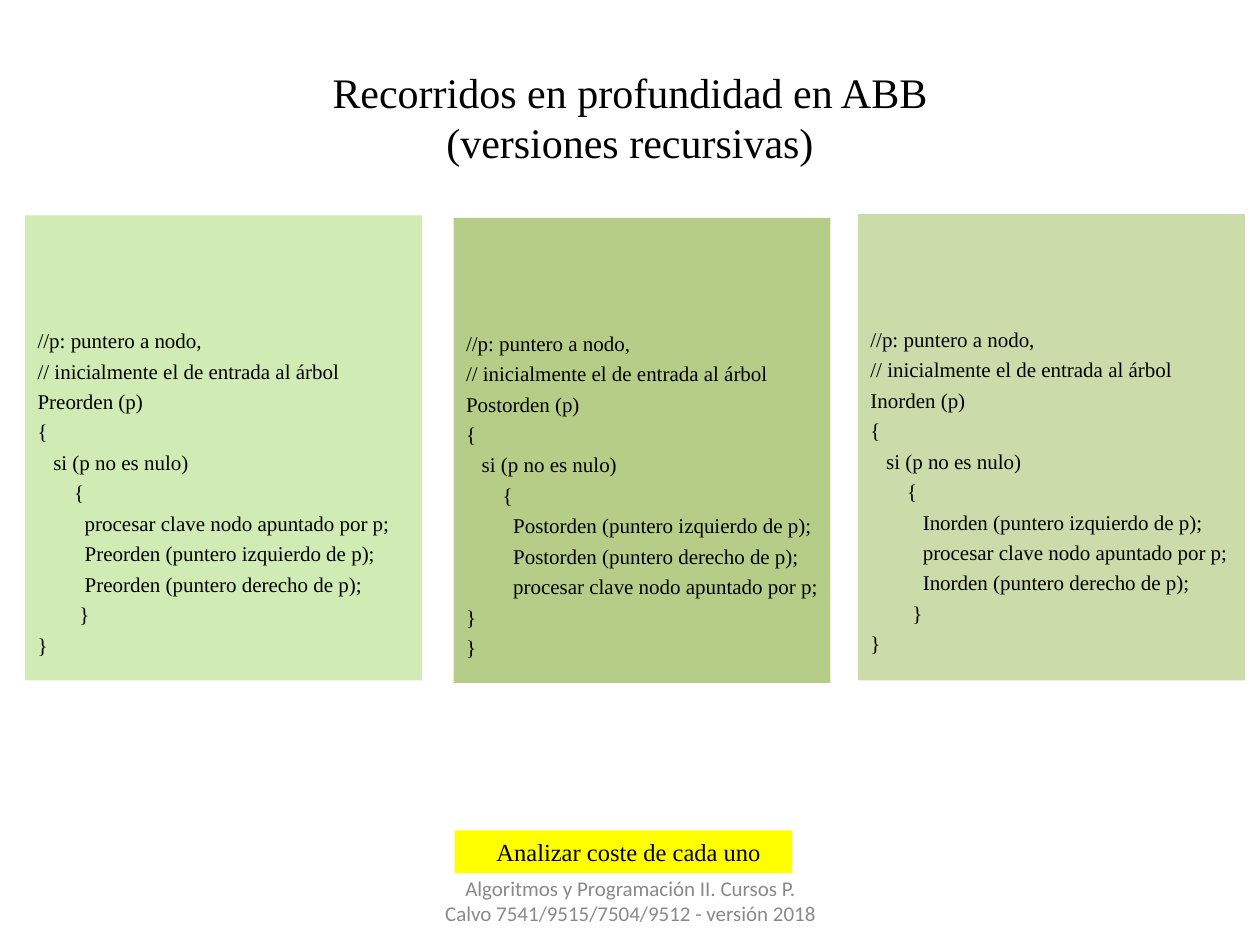
from lxml import etree
from pptx import Presentation
from pptx.dml.color import RGBColor
from pptx.enum.shapes import MSO_SHAPE
from pptx.enum.text import MSO_ANCHOR, PP_ALIGN
from pptx.oxml.ns import qn
from pptx.util import Inches, Pt

RECTANGLE = MSO_SHAPE.RECTANGLE
TOP, MIDDLE = MSO_ANCHOR.TOP, MSO_ANCHOR.MIDDLE
LEFT, CENTER = PP_ALIGN.LEFT, PP_ALIGN.CENTER

THEME = {
    "serif": "Times New Roman",
    "sans": "Calibri",
    "ink": "000000",
    "muted": "898989",
    "preorder": "D0EBB3",
    "postorder": "9BBB59",
    "inorder": "C3D69B",
    "highlight": "FFFF00",
    "title_size": 24,
    "note_size": 14,
    "body_size": 12,
}


def add_panel(box, color, opacity=100):
    shape = slide.shapes.add_shape(RECTANGLE, *[Inches(value) for value in box])
    shape.shadow.inherit = False
    shape.line.fill.background()
    shape.fill.solid()
    shape.fill.fore_color.rgb = RGBColor.from_string(THEME[color])
    if opacity < 100:
        color_element = shape._element.spPr.find(".//" + qn("a:srgbClr"))
        etree.SubElement(color_element, qn("a:alpha"), val=str(opacity * 1000))
    return shape


def write_text(shape, text, size, anchor, alignment, font="serif", color="ink"):
    frame = shape.text_frame
    frame.text = text
    frame.word_wrap = True
    frame.vertical_anchor = anchor
    for paragraph in frame.paragraphs:
        paragraph.alignment = alignment
        for run in paragraph.runs:
            run.font.name = THEME[font]
            run.font.size = Pt(THEME[size])
            run.font.color.rgb = RGBColor.from_string(THEME[color])
    return frame


presentation = Presentation()
presentation.slide_width = Inches(10)
presentation.slide_height = Inches(7.5)
slide = presentation.slides.add_slide(presentation.slide_layouts[6])

title = slide.shapes.add_textbox(Inches(0.5), Inches(0.3), Inches(9), Inches(1.25))
write_text(title, "Recorridos en profundidad en ABB\v(versiones recursivas)", "title_size", MIDDLE, CENTER)

process = "procesar clave nodo apuntado por p;"
go_left = "{name} (puntero izquierdo de p);"
go_right = "{name} (puntero derecho de p);"
traversals = [
    ("Preorden", (0.2, 1.71, 3.15, 3.69), "preorder", 100, 9, [process, go_left, go_right], "        }"),
    ("Postorden", (3.6, 1.73, 2.99, 3.69), "postorder", 72, 9, [go_left, go_right, process], "}"),
    ("Inorden", (6.81, 1.7, 3.07, 3.7), "inorder", 86, 10, [go_left, process, go_right], "        }"),
]
for name, box, color, opacity, indent, steps, closing in traversals:
    lines = [
        "//p: puntero a nodo,",
        "// inicialmente el de entrada al árbol",
        f"{name} (p)",
        "{",
        "   si (p no es nulo)",
        "       {",
        *[" " * indent + step.format(name=name) for step in steps],
        closing,
        "}",
    ]
    panel = add_panel(box, color, opacity)
    frame = write_text(panel, "\n".join(lines), "body_size", TOP, LEFT)
    frame.margin_top = Inches(0.89)
    frame.margin_right = Inches(0.02)
    for paragraph in frame.paragraphs[1:]:
        paragraph.space_before = Pt(3)

note = add_panel((3.61, 6.59, 2.68, 0.34), "highlight")
frame = write_text(note, "Analizar coste de cada uno", "note_size", TOP, LEFT)
frame.margin_left = Inches(0.33)

footer = slide.shapes.add_textbox(Inches(3.42), Inches(6.95), Inches(3.17), Inches(0.4))
footer_text = "Algoritmos y Programación II. Cursos P. Calvo 7541/9515/7504/9512 - versión 2018"
write_text(footer, footer_text, "body_size", MIDDLE, CENTER, "sans", "muted")

presentation.save("out.pptx")
